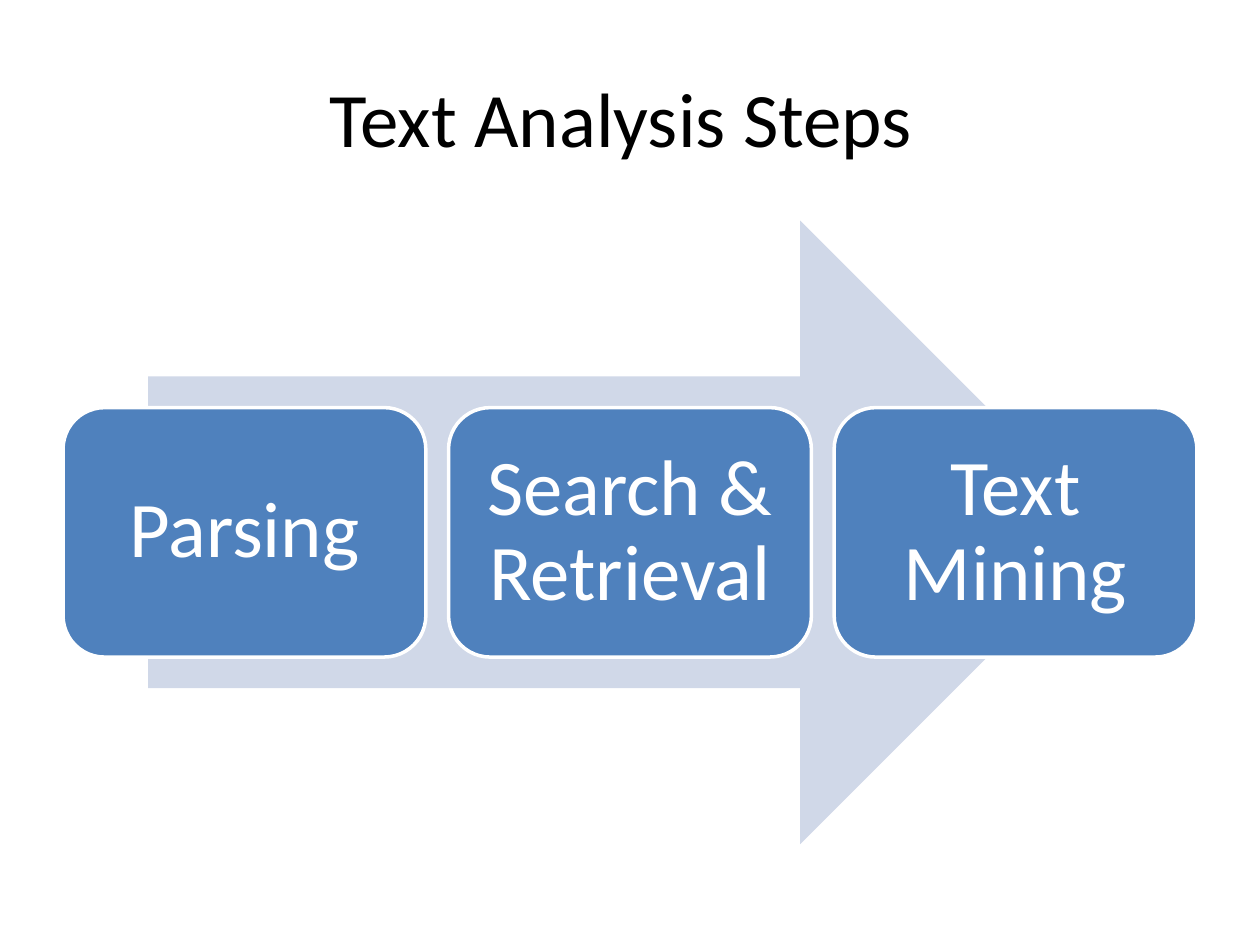
from pptx import Presentation
from pptx.dml.color import RGBColor
from pptx.enum import shapes, text
from pptx.util import Pt

STEPS = ["Parsing", "Search & Retrieval", "Text Mining"]
ARROW_FILL, STEP_FILL, WHITE, BLACK = "D0D8E8", "4F81BD", "FFFFFF", "000000"


def color(hex_code):
    return RGBColor.from_string(hex_code)


def write(shape, wording, size, hex_code, inset, line_spacing=1.0):
    """Set centred text in a shape, with equal insets on all sides."""
    frame = shape.text_frame
    frame_format = {"word_wrap": True, "vertical_anchor": text.MSO_ANCHOR.MIDDLE}
    frame_format.update({f"margin_{side}": Pt(inset)
                         for side in ("left", "top", "right", "bottom")})
    for name, value in frame_format.items():
        setattr(frame, name, value)
    paragraph = frame.paragraphs[0]
    paragraph.alignment = text.PP_ALIGN.CENTER
    paragraph.line_spacing = line_spacing
    run = paragraph.add_run()
    run.text = wording
    for name, value in {"name": "Calibri", "size": Pt(size)}.items():
        setattr(run.font, name, value)
    run.font.color.rgb = color(hex_code)


def add_filled(slide, preset, box, fill):
    shape = slide.shapes.add_shape(preset, *map(Pt, box))
    shape.shadow.inherit = False
    shape.fill.solid()
    shape.fill.fore_color.rgb = color(fill)
    shape.line.fill.background()
    return shape


def add_title(slide, box):
    title = slide.shapes.add_textbox(*map(Pt, box))
    write(title, "Text Analysis Steps ", 44, BLACK, inset=5)


def add_process(slide, box):
    """Lay the steps in a row over a wide arrow, all scaled to the box."""
    left, top, width, height = box
    arrow_width = 0.85 * width
    arrow_left = left + (width - arrow_width) / 2
    add_filled(slide, shapes.MSO_SHAPE.RIGHT_ARROW,
               (arrow_left, top, arrow_width, height), ARROW_FILL)

    gap = 0.02 * width
    step_width = (width - gap * (len(STEPS) - 1)) / len(STEPS)
    step_height = 0.4 * height
    step_top = top + (height - step_height) / 2
    for i, wording in enumerate(STEPS):
        step_left = left + i * (step_width + gap)
        step = add_filled(slide, shapes.MSO_SHAPE.ROUNDED_RECTANGLE,
                          (step_left, step_top, step_width, step_height), STEP_FILL)
        step.line.color.rgb = color(WHITE)
        step.line.width = Pt(2)
        write(step, wording, 45, WHITE, inset=13.5, line_spacing=0.9)


def main():
    deck = Presentation()
    deck.slide_width, deck.slide_height = Pt(720), Pt(540)
    slide = deck.slides.add_slide(deck.slide_layouts[6])
    add_title(slide, (36, 21.6, 648, 90))
    add_process(slide, (36, 126, 648, 356.4))
    deck.save("out.pptx")


if __name__ == "__main__":
    main()
